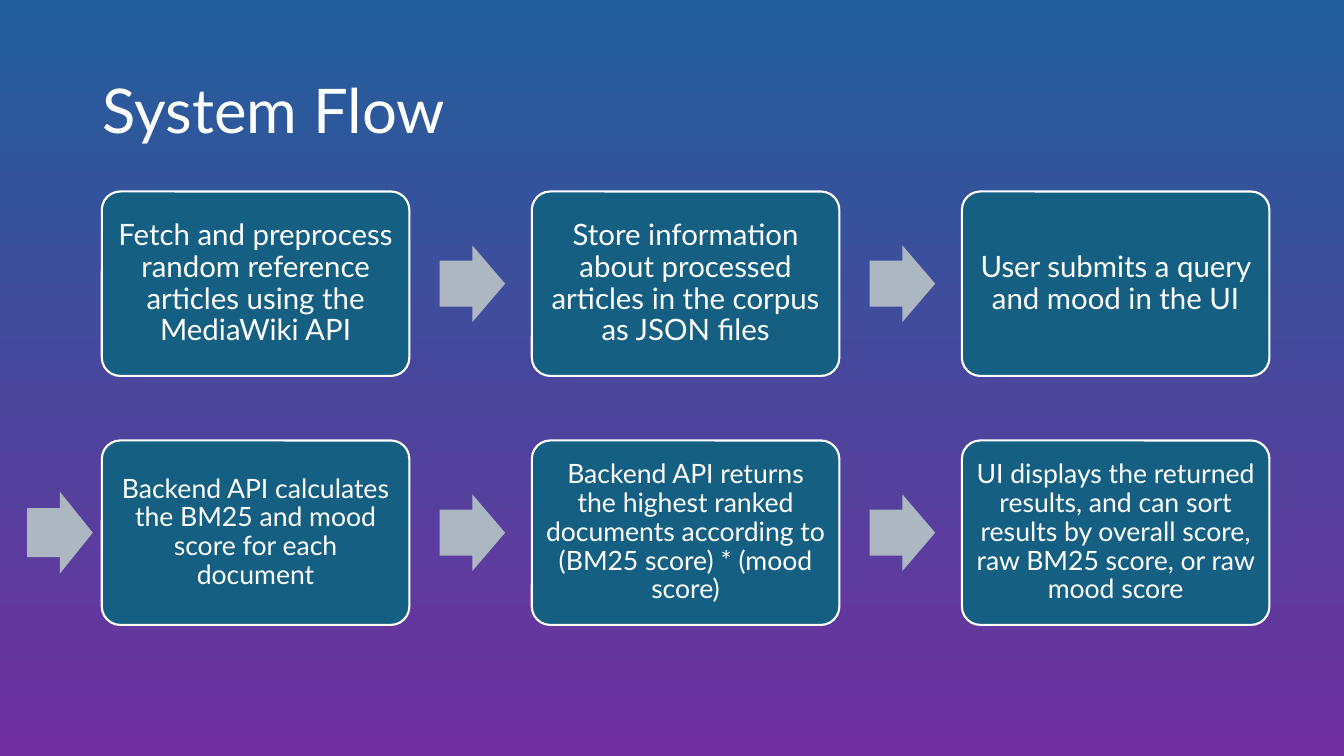
from pptx import Presentation
from pptx.dml.color import RGBColor as Rgb
from pptx.enum.shapes import MSO_SHAPE as Kind
from pptx.enum.text import MSO_ANCHOR as Anchor, PP_ALIGN as Align
from pptx.util import Inches, Pt

# Content: one row of steps per line, with its text size and inset
TITLE = "System Flow"
ROWS = [
    (21, 0.09, [
        "Fetch and preprocess random reference articles using the MediaWiki API",
        "Store information about processed articles in the corpus as JSON files",
        "User submits a query and mood in the UI",
    ]),
    (19, 0.08, [
        "Backend API calculates the BM25 and mood score for each document",
        "Backend API returns the highest ranked documents according to "
        "(BM25 score) * (mood score)",
        "UI displays the returned results, and can sort results by overall "
        "score, raw BM25 score, or raw mood score",
    ]),
]

FONT = "Lato"
WHITE = Rgb(0xFF, 0xFF, 0xFF)
TEAL = Rgb(0x15, 0x60, 0x82)
GREY = Rgb(0xAC, 0xB7, 0xC1)
BLUE = Rgb(0x21, 0x5F, 0x9A)
PURPLE = Rgb(0x70, 0x30, 0xA0)

# Grid, in inches
LEFT, TOP = 1.01, 1.9
COL, ROW = 4.265, 2.47
BOX_W, BOX_H = 3.05, 1.83
ARROW_W, ARROW_H = 0.65, 0.76
GAP = 0.3
ENTRY_X, ENTRY_H = 0.27, 0.81

deck = Presentation()
deck.slide_width, deck.slide_height = Inches(13.33), Inches(7.5)
slide = deck.slides.add_slide(deck.slide_layouts[6])


def write(shape, text, size, align=Align.LEFT, inset=None):
    frame = shape.text_frame
    frame.word_wrap = True
    frame.vertical_anchor = Anchor.MIDDLE
    if inset is not None:
        frame.margin_left = frame.margin_right = Inches(inset)
        frame.margin_top = frame.margin_bottom = Inches(inset)
    para = frame.paragraphs[0]
    para.alignment = align
    para.line_spacing = 0.9
    run = para.add_run()
    run.text = text
    run.font.name, run.font.size = FONT, Pt(size)
    run.font.color.rgb = WHITE


def draw(kind, x, y, w, h, fill, adjust, line=None):
    shape = slide.shapes.add_shape(kind, *map(Inches, (x, y, w, h)))
    shape.shadow.inherit = False
    shape.fill.solid()
    shape.fill.fore_color.rgb = fill
    for i, value in enumerate(adjust):
        shape.adjustments[i] = value
    if line:
        shape.line.color.rgb = line
        shape.line.width = Pt(1.5)
    else:
        shape.line.fill.background()
    return shape


def arrow(x, mid, h=ARROW_H):
    draw(Kind.RIGHT_ARROW, x, mid - h / 2, ARROW_W, h, GREY, (0.6, 0.5))


# Background
back = slide.background.fill
back.gradient()
back.gradient_angle = 270
for stop, color in zip(back.gradient_stops, (BLUE, PURPLE)):
    stop.color.rgb = color

# Title
head = slide.shapes.add_textbox(*map(Inches, (0.92, 0.4, 11.5, 1.45)))
write(head, TITLE, 44)

# Steps, with an arrow between neighbours
for r, (size, inset, steps) in enumerate(ROWS):
    y = TOP + r * ROW
    mid = y + BOX_H / 2
    if r:
        arrow(ENTRY_X, mid, ENTRY_H)
    for c, step in enumerate(steps):
        x = LEFT + c * COL
        box = draw(Kind.ROUNDED_RECTANGLE, x, y, BOX_W, BOX_H, TEAL, (0.1,), WHITE)
        write(box, step, size, Align.CENTER, inset)
        if c < len(steps) - 1:
            arrow(x + BOX_W + GAP, mid)

deck.save("out.pptx")
